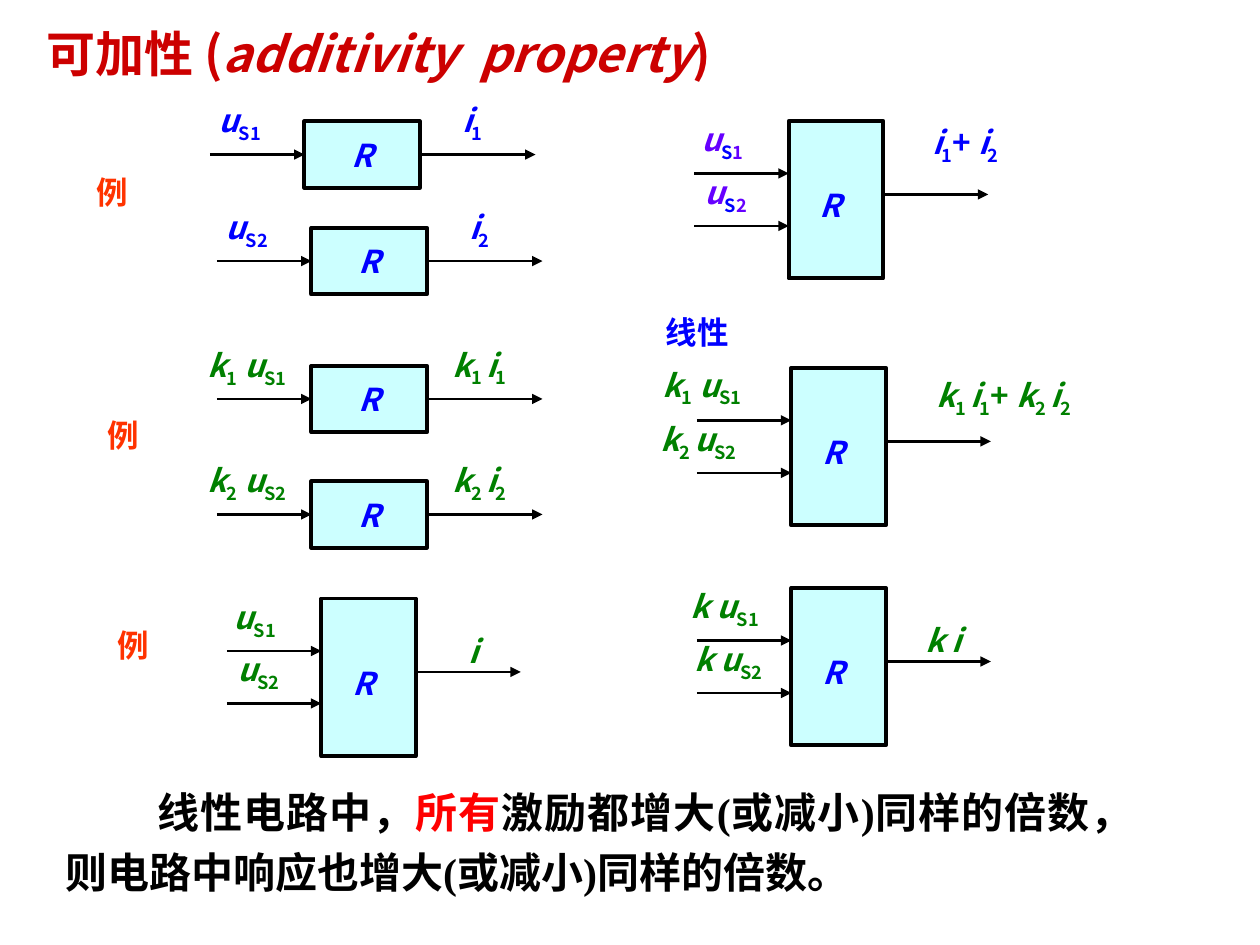
"""Builds a slide on the additivity of linear resistor circuits with block diagrams."""
from lxml import etree
from pptx import Presentation
from pptx.dml.color import RGBColor
from pptx.enum.shapes import MSO_CONNECTOR as CONN, MSO_SHAPE as SHAPE
from pptx.enum.text import MSO_ANCHOR as ANCHOR, MSO_AUTO_SIZE as AUTO, PP_ALIGN as ALIGN
from pptx.oxml.ns import qn
from pptx.util import Pt

C = {"title": "CC0000", "black": "000000", "red": "FF0000", "blue": "0000FF", "green": "008000",
     "violet": "6600FF", "orange": "FF3300", "box": "CCFFFF"}
CJK = "Noto Sans CJK SC"


def write(sp, runs, color, size=18, font=CJK, align=ALIGN.CENTER, wrap=False):
    tf = sp.text_frame
    tf.word_wrap = wrap
    tf.auto_size = AUTO.SHAPE_TO_FIT_TEXT
    tf.vertical_anchor = ANCHOR.MIDDLE
    p = tf.paragraphs[0]
    p.alignment = align
    for text, style, *own in runs:
        r = p.add_run()
        r.text = text
        r.font.size = Pt(size)
        r.font.bold = True
        r.font.italic = style == "italic"
        r.font.color.rgb = RGBColor.from_string(C[own[0] if own else color])
        r.font.name = font
        rPr = r._r.get_or_add_rPr()
        etree.SubElement(rPr, qn("a:ea")).set("typeface", CJK)
        if style == "sub":
            rPr.set("baseline", "-25000")
    return p


def arrow(shapes, x1, x2, y):
    cn = shapes.add_connector(CONN.STRAIGHT, Pt(x1), Pt(y), Pt(x2), Pt(y))
    cn.line.color.rgb = RGBColor.from_string(C["black"])
    cn.line.width = Pt(1.5)
    etree.SubElement(cn.line._get_or_add_ln(), qn("a:tailEnd")).set("type", "triangle")
    etree.SubElement(cn._element.spPr, qn("a:effectLst"))
    return cn


u, i, k, ku = ("u", "italic"), ("i", "italic"), ("k", "italic"), ("k u", "italic")
one, two, s1, s2 = ("1", "sub"), ("2", "sub"), ("S1", "sub"), ("S2", "sub")
one_gap, two_gap, u_gap, plus = ("1 ", "sub"), ("2 ", "sub"), (" u", "italic"), ("+ ", "plain")
vu, vs = ("u", "italic", "violet"), ("S", "sub")
v1, v2 = ("1", "sub", "violet"), ("2", "sub", "violet")
R = [("R", "italic")]

prs = Presentation()
prs.slide_width, prs.slide_height = Pt(720), Pt(540)
s = prs.slides.add_slide(prs.slide_layouts[6])

sp = s.shapes.add_textbox(Pt(19.5), Pt(10), Pt(616), Pt(41))
write(sp, [("可加性 (", "plain"), ("additivity  property", "italic"), (")", "plain")],
      "title", 28, align=ALIGN.LEFT, wrap=True)

sp = s.shapes.add_textbox(Pt(30.2), Pt(440), Pt(624.2), Pt(76.3))
p = write(sp, [("线性电路中，", "plain"), ("所有", "plain", "red"),
               ("激励都增大(或减小)同样的倍数，则电路中响应也增大(或减小)同样的倍数。", "plain")],
          "black", 24, "Times New Roman", ALIGN.JUSTIFY, True)
p.line_spacing = 1.2
p._p.get_or_add_pPr().set("indent", str(Pt(52.6)))

for text, color, x, y, w, h in [("线性", "blue", 367.2, 171.4, 62.6, 36),
                                ("例", "orange", 48.2, 95, 32.4, 29.5),
                                ("例", "orange", 54, 234, 32.4, 29.5),
                                ("例", "orange", 59.8, 353.5, 32.4, 29.5)]:
    write(s.shapes.add_textbox(Pt(x), Pt(y), Pt(w), Pt(h)), [(text, "plain")], color)

single = [
    (174, 69.3, "blue", [u, s1], 44.6, [i, one], 29.5),
    (178, 130.2, "blue", [u, s2], 44.6, [i, two], 29.5),
    (178, 209, "green", [k, one, u_gap, s1], 70.6, [k, one_gap, i, one], 54),
    (178, 275, "green", [k, two, u_gap, s2], 70.6, [k, two_gap, i, two], 54),
]
for x, y, color, source, source_w, response, response_w in single:
    g = s.shapes.add_group_shape().shapes
    box = g.add_shape(SHAPE.RECTANGLE, Pt(x), Pt(y), Pt(66), Pt(38))
    box.shadow.inherit = False
    box.fill.solid()
    box.fill.fore_color.rgb = RGBColor.from_string(C["box"])
    box.line.color.rgb = RGBColor.from_string(C["black"])
    box.line.width = Pt(2.25)
    write(box, R, "blue", wrap=True)
    arrow(g, x - 54, x, y + 19).end_connect(box, 1)
    arrow(g, x + 66, x + 132, y + 19).begin_connect(box, 3)
    for runs, mid, top, w, h in [(source, -37, -17, source_w, 36),
                                 (response, 96, -14, response_w, 29.5)]:
        write(g.add_textbox(Pt(x + mid - w / 2), Pt(y + top), Pt(w), Pt(h)), runs, color)

double = [
    (183.6, 342, "green", ([u, s1], -38, -6, 44.6), ([u, s2], -36, 24, 44.6),
     ([i], 87, 15, 23.8)),
    (452.2, 336, "green", ([ku, s1], -38, -6, 62.6), ([ku, s2], -36, 24, 62.6),
     ([("k i", "italic")], 87, 15, 41.8)),
    (450.7, 69.1, "blue", ([vu, vs, v1], -38, -6, 44.6), ([vu, vs, v2], -36, 24, 44.6),
     ([i, one, plus, i, two], 101, -1.5, 60.5)),
    (452.2, 210.2, "green", ([k, one, u_gap, s1], -51, -7, 70.6),
     ([k, two_gap, u, s2], -53, 24, 68.4),
     ([k, one_gap, i, one, plus, k, two_gap, i, two], 121.3, 2, 105.8)),
]
for x, y, color, first, second, response in double:
    g = s.shapes.add_group_shape().shapes
    box = g.add_shape(SHAPE.RECTANGLE, Pt(x), Pt(y), Pt(54), Pt(90))
    box.shadow.inherit = False
    box.fill.solid()
    box.fill.fore_color.rgb = RGBColor.from_string(C["box"])
    box.line.color.rgb = RGBColor.from_string(C["black"])
    box.line.width = Pt(2.25)
    for x1, x2, dy in [(-54, 0, 30), (-54, 0, 60), (54, 114, 42)]:
        arrow(g, x + x1, x + x2, y + dy)
    write(g.add_textbox(Pt(x + 9), Pt(y + 30), Pt(30), Pt(36)), R, "blue")
    for (runs, mid, top, w), h in [(first, 36), (second, 36), (response, 29.5)]:
        write(g.add_textbox(Pt(x + mid - w / 2), Pt(y + top), Pt(w), Pt(h)), runs, color)

prs.save("out.pptx")
